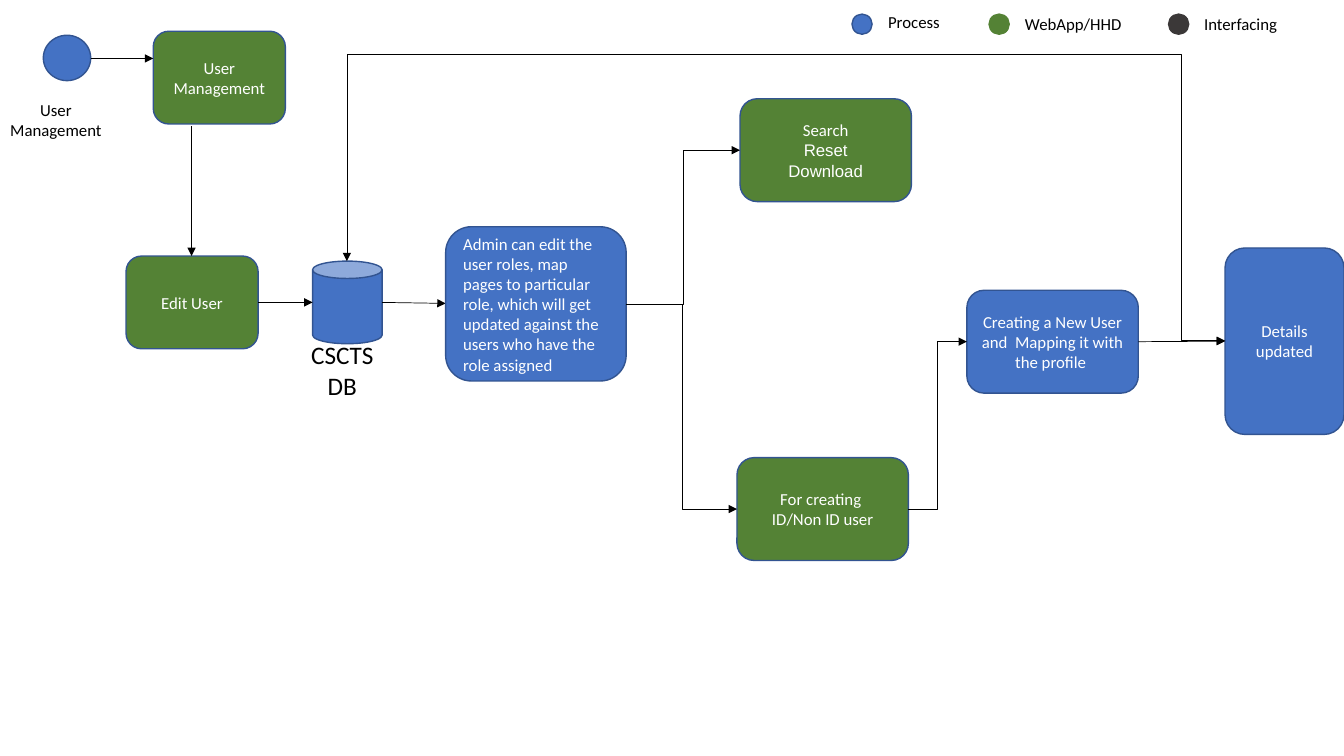
from pptx import Presentation
from pptx import util as u
from pptx.dml.color import RGBColor
from pptx.enum import shapes, text
from pptx.oxml.ns import qn
from lxml import etree

HEX = {"blue": "4472C4", "green": "548235", "dark": "3B3838",
       "edge": "325491", "black": "000000", "white": "FFFFFF"}
KIND = shapes.MSO_SHAPE
WIRE = shapes.MSO_CONNECTOR
MID = text.PP_ALIGN.CENTER


def tint(name):
    """Return the named colour."""
    return RGBColor.from_string(HEX[name])


def write(shape, lines, color, size=12, align=MID):
    """Fill a shape with one paragraph per (words, font) line."""
    frame = shape.text_frame
    frame.word_wrap = True
    for i, (words, face) in enumerate(lines):
        para = frame.paragraphs[0] if i == 0 else frame.add_paragraph()
        para.alignment = align
        run = para.add_run()
        run.text = words
        run.font.name = face
        run.font.size = u.Pt(size)
        run.font.color.rgb = tint(color)


def plain(*words):
    """Pair each line with the main font."""
    return [(word, "Calibri") for word in words]


def shape(slide, kind, box, fill, edge="edge"):
    """Draw a filled, outlined preset shape."""
    item = slide.shapes.add_shape(kind, *map(u.Inches, box))
    item.shadow.inherit = False
    item.fill.solid()
    item.fill.fore_color.rgb = tint(fill)
    item.line.color.rgb = tint(edge)
    item.line.width = u.Pt(1)
    return item


def label(slide, box, lines, size=12):
    """Place a centred black text box."""
    item = slide.shapes.add_textbox(*map(u.Inches, box))
    write(item, lines, "black", size)


def step(slide, box, fill, lines, align=MID):
    """Draw one rounded step of the flow."""
    item = shape(slide, KIND.FLOWCHART_ALTERNATE_PROCESS, box, fill)
    item.text_frame.vertical_anchor = text.MSO_ANCHOR.MIDDLE
    write(item, lines, "white", align=align)
    return item


def arrow(slide, ends, kind=WIRE.STRAIGHT, heads=("tailEnd",)):
    """Draw a thin connector with triangle heads."""
    wire = slide.shapes.add_connector(kind, *map(u.Inches, ends))
    wire.line.color.rgb = tint("black")
    wire.line.width = u.Pt(0.5)
    line = wire.line._get_or_add_ln()
    for head in heads:
        etree.SubElement(line, qn("a:" + head), type="triangle")
    etree.SubElement(wire._element.spPr, qn("a:effectLst"))
    return wire


def join(slide, start, end, kind=WIRE.ELBOW):
    """Glue an arrow from the right of one step to the left of the next."""
    wire = arrow(slide, (0, 0, 1, 1), kind)
    wire.begin_connect(start, 3)
    wire.end_connect(end, 1)
    return wire


def bend(wire, preset, **parts):
    """Set the route of an elbow connector."""
    geom = wire._element.spPr.find(qn("a:prstGeom"))
    geom.set("prst", preset)
    guides = geom.find(qn("a:avLst"))
    if guides is None:
        guides = etree.SubElement(geom, qn("a:avLst"))
    for name, part in parts.items():
        etree.SubElement(guides, qn("a:gd"), name=name,
                         fmla=f"val {round(part * 100000)}")


def loop(slide, x, y):
    """Draw the return route between the database and the last step."""
    wire = arrow(slide, (x + 7.4, y - 1.37, x + 8.19, y + 7.34),
                 WIRE.ELBOW, ("headEnd", "tailEnd"))
    frame = wire._element.spPr.find(qn("a:xfrm"))
    frame.set("rot", str(270 * 60000))
    frame.set("flipH", "1")
    bend(wire, "bentConnector4", adj1=-2.59, adj2=0.95)


def entry(slide, x, y):
    """Draw the start of the flow down to the user edit step."""
    shape(slide, KIND.FLOWCHART_CONNECTOR, (x + 0.43, y + 0.35, 0.47, 0.45), "blue")
    label(slide, (x, y + 0.94, 1.11, 0.5), plain("User Management"))
    size = (1.31, 0.92)
    step(slide, (x + 1.52, y + 0.31, *size), "green", plain("User Management"))
    step(slide, (x + 1.25, y + 2.54, *size), "green", plain("Edit User"))
    arrow(slide, (x + 0.9, y + 0.58, x + 1.52, y + 0.58))
    arrow(slide, (x + 1.9, y + 1.25, x + 1.9, y + 2.54))


def store(slide, x, y):
    """Draw the database, its caption and its side arrows."""
    shape(slide, KIND.CAN, (x, y, 0.69, 0.82), "blue")
    label(slide, (x - 0.3, y + 0.73, 1.19, 0.71), plain("CSCTS", "DB"), 18)
    arrow(slide, (x - 0.54, y + 0.41, x, y + 0.41))
    arrow(slide, (x + 0.69, y + 0.41, x + 1.32, y + 0.42))


def roles(slide, x, y):
    """Draw the role steps and the branches between them."""
    size = (1.7, 1.02)
    admin = step(slide, (x, y + 1.27, 1.79, 1.53), "blue", plain(
        "Admin can edit the user roles, map pages to particular role, "
        "which will get updated against the users who have the role assigned "),
        text.PP_ALIGN.LEFT)
    search = step(slide, (x + 2.92, y, *size), "green", [
        ("Search", "Calibri"), ("Reset", "Arial"), ("Download", "Arial")])
    create = step(slide, (x + 2.89, y + 3.56, *size), "green",
                  plain("For creating ", "ID/Non ID user"))
    assign = step(slide, (x + 5.17, y + 1.9, *size), "blue", plain(
        "Creating a New User and  Mapping it with the profile "))
    done = step(slide, (x + 7.73, y + 1.48, 1.18, 1.85), "blue",
                plain("Details updated"))
    join(slide, admin, search)
    bend(join(slide, admin, create), "bentConnector3", adj1=0.51)
    join(slide, create, assign)
    join(slide, assign, done, WIRE.STRAIGHT)


def legend(slide, x, y):
    """Draw the colour key."""
    keys = (("Process", "blue", "edge", 0, 0.03, 0),
            ("WebApp/HHD", "green", "green", 1.36, 1.61, 0.02),
            ("Interfacing", "dark", "dark", 3.14, 3.27, 0.02))
    for words, fill, edge, dot, left, top in keys:
        shape(slide, KIND.FLOWCHART_CONNECTOR,
              (x + dot, y + 0.07, 0.2, 0.2), fill, edge)
        label(slide, (x + left, y + top, 1.17, 0.3), plain(words))


def main():
    """Build and save the slide."""
    deck = Presentation()
    deck.slide_width, deck.slide_height = u.Inches(13.33), u.Inches(7.5)
    slide = deck.slides.add_slide(deck.slide_layouts[6])
    entry(slide, 0, 0)
    store(slide, 3.1, 2.59)
    roles(slide, 4.42, 0.98)
    loop(slide, 0, 0)
    legend(slide, 8.45, 0.07)
    deck.save("out.pptx")


main()
